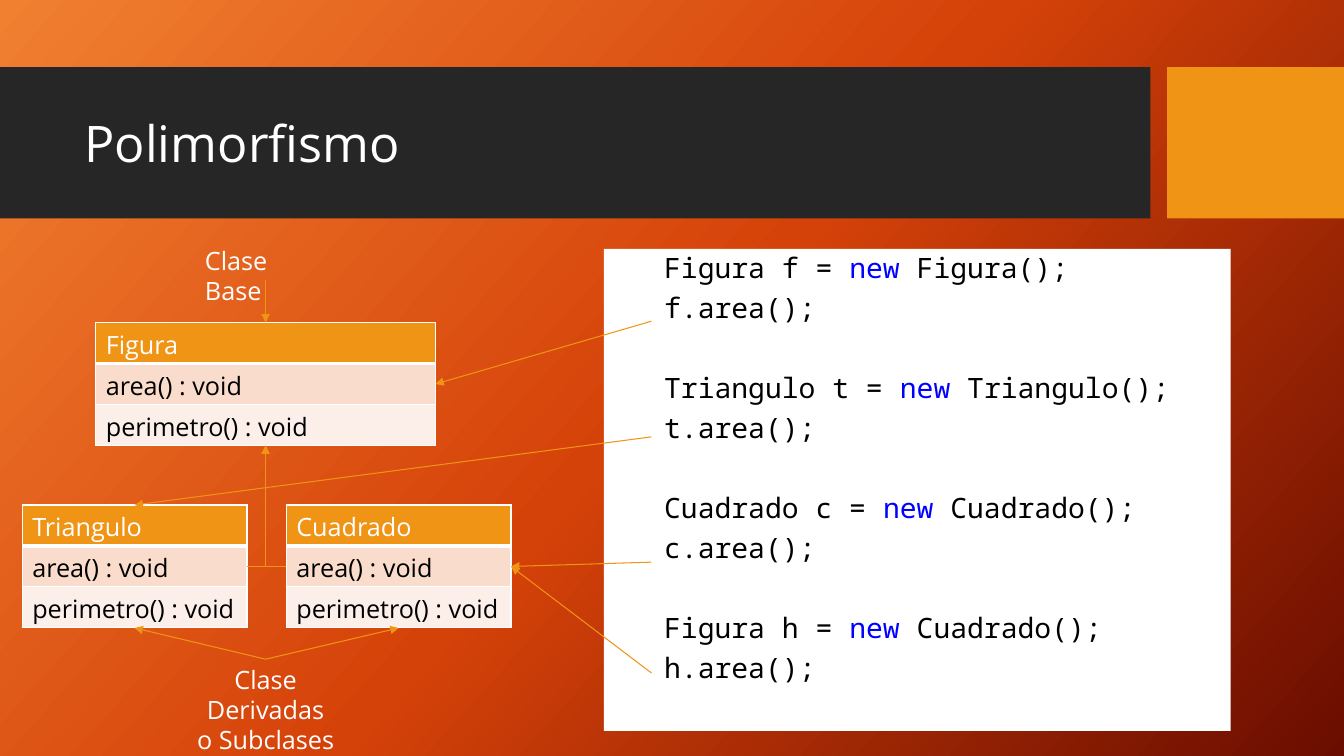
from dataclasses import dataclass

from lxml import etree
from pptx import Presentation, util as u
from pptx.dml.color import RGBColor
from pptx.enum import shapes, text
from pptx.oxml import ns, parse_xml

COLOURS = {
    "glow": "F18031", "flame": "D54209", "ember": "6A0D00",
    "band": "262626", "accent": "F09415", "light": "FFFFFF",
    "dark": "000000", "keyword": "0000FF",
    "first_method": "F9DCCC", "second_method": "FCEEE8",
}
SANS, MONO = "Open Sans", "Noto Sans Mono"
COLUMNS, ROWS = 80, 45
TABLE_ROW = 2.44
METHODS = ["area() : void", "perimetro() : void"]
CODE = [
    ["Figura f = new Figura();", "f.area();"],
    ["Triangulo t = new Triangulo();", "t.area();"],
    ["Cuadrado c = new Cuadrado();", "c.area();"],
    ["Figura h = new Cuadrado();", "h.area();"],
]

deck = Presentation()
deck.slide_width, deck.slide_height = u.Inches(13.33), u.Inches(7.5)
slide = deck.slides.add_slide(deck.slide_layouts[6])


def across(columns):
    return round(deck.slide_width * columns / COLUMNS)


def down(rows):
    return round(deck.slide_height * rows / ROWS)


@dataclass
class Box:
    left: float
    top: float
    width: float
    height: float

    def at(self, x_share, y_share):
        return self.left + self.width * x_share, self.top + self.height * y_share

    def emu(self):
        return across(self.left), down(self.top), across(self.width), down(self.height)


def colour(name):
    return RGBColor.from_string(COLOURS[name])


def style(paragraph, size, ink="light", font=SANS):
    for run in paragraph.runs:
        run.font.size, run.font.name = u.Pt(size), font
        run.font.color.rgb = colour(ink)


def paint_background():
    stops = "".join(
        f'<a:gs pos="{share * 1000}"><a:srgbClr val="{COLOURS[name]}"/></a:gs>'
        for share, name in [(0, "glow"), (50, "flame"), (100, "ember")])
    fill = slide.background.fill
    fill.solid()
    properties = slide.element.find(".//" + ns.qn("p:bgPr"))
    properties.replace(properties[0], parse_xml(
        f'<a:gradFill {ns.nsdecls("a")} rotWithShape="1"><a:gsLst>{stops}</a:gsLst>'
        '<a:lin ang="2520000" scaled="0"/></a:gradFill>'))


def panel(box, fill):
    block = slide.shapes.add_shape(shapes.MSO_SHAPE.RECTANGLE, *box.emu())
    block.shadow.inherit = False
    block.fill.solid()
    block.fill.fore_color.rgb = colour(fill)
    block.line.fill.background()
    return block


def label(box, words, size=18, align=text.PP_ALIGN.LEFT, anchor=text.MSO_ANCHOR.TOP):
    frame = slide.shapes.add_textbox(*box.emu()).text_frame
    frame.word_wrap, frame.vertical_anchor = True, anchor
    frame.text = words
    for paragraph in frame.paragraphs:
        paragraph.alignment = align
        style(paragraph, size)


def header(box):
    panel(Box(box.left, box.top, box.width * 0.856, box.height), "band")
    panel(Box(*box.at(0.8685, 0), box.width * 0.1315, box.height), "accent")
    label(Box(*box.at(0.0555, 0.1), box.width * 0.788, box.height * 0.79),
          "Polimorfismo", 36, anchor=text.MSO_ANCHOR.MIDDLE)


def border(cell, header_row):
    properties = cell._tc.get_or_add_tcPr()
    for position, side in enumerate(["lnL", "lnR", "lnT", "lnB"]):
        points = 3 if header_row and side == "lnB" else 1
        properties.insert(position, parse_xml(
            f'<a:{side} {ns.nsdecls("a")} w="{u.Pt(points)}"><a:solidFill>'
            f'<a:srgbClr val="{COLOURS["light"]}"/></a:solidFill></a:{side}>'))


def class_table(box, class_name):
    table = slide.shapes.add_table(3, 1, *box.emu()).table
    fills = ["accent", "first_method", "second_method"]
    for index, (words, fill) in enumerate(zip([class_name] + METHODS, fills)):
        cell = table.cell(index, 0)
        cell.text = words
        cell.fill.solid()
        cell.fill.fore_color.rgb = colour(fill)
        style(cell.text_frame.paragraphs[0], 18, "dark" if index else "light")
        cell.text_frame.paragraphs[0].runs[0].font.bold = False
        border(cell, index == 0)


def arrow(start, end, bent=False):
    kind = shapes.MSO_CONNECTOR.ELBOW if bent else shapes.MSO_CONNECTOR.STRAIGHT
    link = slide.shapes.add_connector(
        kind, across(start[0]), down(start[1]), across(end[0]), down(end[1]))
    link.line.color.rgb, link.line.width = colour("accent"), u.Pt(0.75)
    properties = link._element.spPr
    if bent:
        properties.find(ns.qn("a:prstGeom")).set("prst", "bentConnector2")
    outline = properties.find(ns.qn("a:ln"))
    etree.SubElement(outline, ns.qn("a:tailEnd"), type="triangle")
    etree.SubElement(properties, ns.qn("a:effectLst"))


def hierarchy(figura, triangulo, cuadrado):
    class_table(figura, "Figura")
    class_table(cuadrado, "Cuadrado")
    class_table(triangulo, "Triangulo")
    axis = figura.at(0.5, 0)[0]
    arrow((axis, figura.top - 2.52), figura.at(0.5, 0))
    label(Box(axis - 4.2, figura.top - 4.92, 8.34, 2.4), "Clase Base")
    arrow(triangulo.at(1, 0.5), figura.at(0.5, 1), bent=True)
    arrow(cuadrado.at(0, 0.5), figura.at(0.5, 1), bent=True)
    fork = axis, triangulo.at(0, 1)[1] + 1.86
    for subclass in (triangulo, cuadrado):
        arrow(fork, subclass.at(0.5, 1))
    label(Box(axis - 5.91, fork[1], 11.82, 4.26), "Clase Derivadas\no Subclases",
          align=text.PP_ALIGN.CENTER)


def code_panel(box):
    frame = panel(box, "light").text_frame
    frame.word_wrap, frame.vertical_anchor = True, text.MSO_ANCHOR.TOP
    for group, statements in enumerate(CODE):
        for index, statement in enumerate(statements):
            first = group == index == 0
            line = frame.paragraphs[0] if first else frame.add_paragraph()
            before, keyword, after = statement.partition("new")
            line.text = before
            for part in filter(None, [keyword, after]):
                line.add_run().text = part
            style(line, 20, "dark", MONO)
            if keyword:
                line.runs[1].font.color.rgb = colour("keyword")
            line.alignment, line.line_spacing = text.PP_ALIGN.LEFT, 0.9
            line.space_before = u.Pt(35.6 if group and index == 0 else 7)
            line._p.get_or_add_pPr().set("marL", str(u.Inches(0.5)))


def call_arrows(box, calls):
    for height_share, target in calls:
        arrow(box.at(0.076, height_share), target)


figura = Box(5.7, 19.2, 20.22, 3 * TABLE_ROW)
triangulo = Box(1.32, 30.06, 13.38, 3 * TABLE_ROW)
cuadrado = Box(17.04, 30.06, 13.38, 3 * TABLE_ROW)
code = Box(35.94, 14.82, 37.32, 28.68)

paint_background()
header(Box(0, 4, COLUMNS, 9))
hierarchy(figura, triangulo, cuadrado)
code_panel(code)
call_arrows(code, [
    (0.15, figura.at(1, 0.5)), (0.39, triangulo.at(0.5, 0)),
    (0.65, cuadrado.at(1, 0.5)), (0.88, cuadrado.at(1, 0.5)),
])
deck.save("out.pptx")
